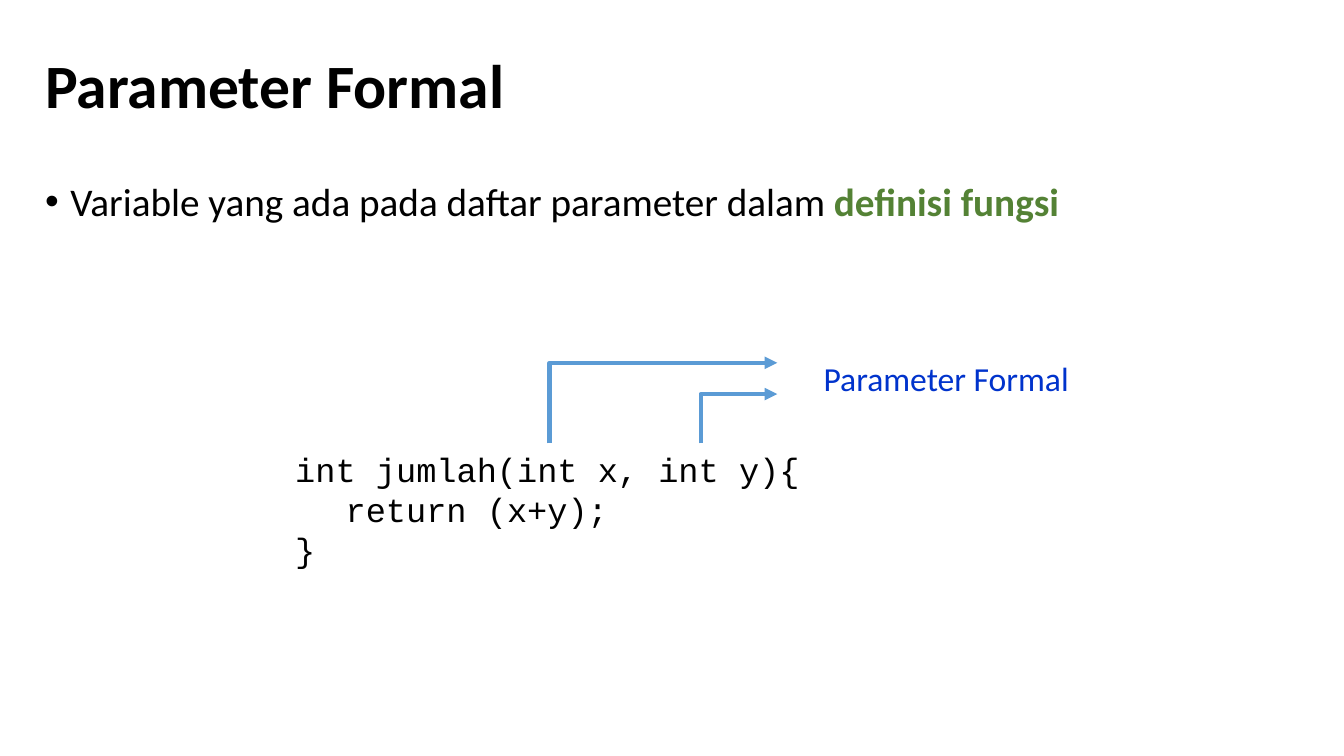
from lxml import etree
from pptx import Presentation
from pptx.dml.color import RGBColor
from pptx.enum import shapes, text
from pptx.oxml.ns import qn
from pptx.util import Inches, Pt

TITLE = "Parameter Formal"
DEFINITION = [("Variable yang ada pada daftar parameter dalam ", "000000", False),
              ("definisi fungsi", "548235", True)]
CODE = ["int jumlah(int x, int y){", "\treturn (x+y);", "}"]
LABEL = "Parameter Formal"

CODE_BOX = (2.83, 4.4, 5.24, 1.31)
ARROW_END = 7.71
ARROWS = [(5.45, 3.6), (6.95, 3.91)]  # x of the parameter, y of the arrowhead


def color(hex_string):
    return RGBColor.from_string(hex_string)


def add_text(slide, box, paragraphs, size, font="Calibri", spacing=None,
             anchor=text.MSO_ANCHOR.TOP, wrap=True, bullet=False, fill=None):
    """Each paragraph is a list of (wording, colour, bold) runs."""
    box = [Inches(value) for value in box]
    if fill:
        shape = slide.shapes.add_shape(shapes.MSO_SHAPE.RECTANGLE, *box)
        shape.shadow.inherit = False
        shape.fill.solid()
        shape.fill.fore_color.rgb = color(fill)
        shape.line.fill.background()
    else:
        shape = slide.shapes.add_textbox(*box)
    frame = shape.text_frame
    frame.word_wrap = wrap
    frame.vertical_anchor = anchor
    for index, runs in enumerate(paragraphs):
        paragraph = frame.add_paragraph() if index else frame.paragraphs[0]
        paragraph.alignment = text.PP_ALIGN.LEFT
        if spacing:
            paragraph.line_spacing = spacing
        if bullet:
            properties = paragraph._p.get_or_add_pPr()
            properties.set("marL", str(Inches(0.25)))
            properties.set("indent", str(-Inches(0.25)))
            etree.SubElement(properties, qn("a:buFont")).set("typeface", "Arial")
            etree.SubElement(properties, qn("a:buChar")).set("char", "•")
        for wording, hex_string, bold in runs:
            run = paragraph.add_run()
            run.text = wording
            run.font.name = font
            run.font.size = Pt(size)
            run.font.bold = bold
            run.font.color.rgb = color(hex_string)


def add_elbow_arrow(slide, x, bottom, end_x, end_y):
    """Go straight up from the code, then right to the arrowhead."""
    connector = slide.shapes.add_connector(
        shapes.MSO_CONNECTOR.ELBOW,
        Inches(x), Inches(bottom), Inches(end_x), Inches(end_y))
    connector.line.width = Pt(3)
    connector.line.color.rgb = color("5B9BD5")
    properties = connector._element.spPr
    adjustments = properties.find(qn("a:prstGeom")).get_or_add_avLst()
    guide = etree.SubElement(adjustments, qn("a:gd"))
    guide.set("name", "adj1")
    guide.set("fmla", "val 0")
    line = properties.find(qn("a:ln"))
    etree.SubElement(line, qn("a:tailEnd")).set("type", "triangle")
    etree.SubElement(properties, qn("a:effectLst"))


def main():
    presentation = Presentation()
    presentation.slide_width = Inches(13.33)
    presentation.slide_height = Inches(7.5)
    slide = presentation.slides.add_slide(presentation.slide_layouts[6])

    add_text(slide, (0.35, 0.15, 10.98, 1.45), [[(TITLE, "000000", True)]], 44,
             spacing=0.9, anchor=text.MSO_ANCHOR.MIDDLE)
    add_text(slide, (0.35, 1.76, 12.66, 5.05), [DEFINITION], 28,
             spacing=0.9, bullet=True)
    add_text(slide, CODE_BOX, [[(line, "000000", False)] for line in CODE], 24,
             font="Courier New", wrap=False, fill="FFFFFF")
    for x, end_y in ARROWS:
        add_elbow_arrow(slide, x, CODE_BOX[1], ARROW_END, end_y)
    add_text(slide, (8.07, 3.5, 2.66, 0.5), [[(LABEL, "0033CC", False)]], 24,
             wrap=False)

    presentation.save("out.pptx")


if __name__ == "__main__":
    main()
